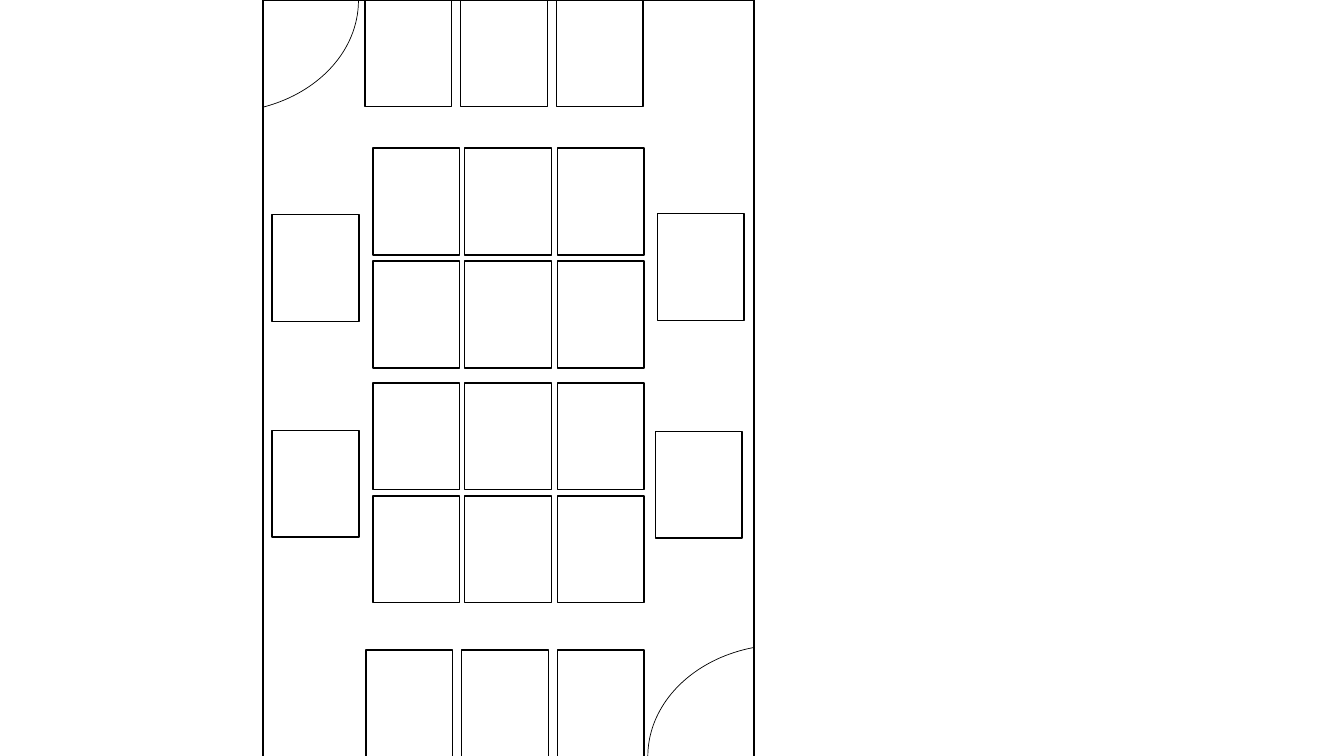
from itertools import product

from pptx import Presentation
from pptx import util as u
from pptx.dml.color import RGBColor
from pptx.enum import shapes

PX = u.Inches(1) // 100  # 100 px to the inch
COLORS = {"paper": "FFFFFF", "ink": "000000"}
CARD_W, CARD_H = 86, 106


def px(n):
    return u.Emu(n * PX)


def add_outline(parent, kind, left, top, width, height, weight=1, fill=None):
    sp = parent.add_shape(kind, px(left), px(top), px(width), px(height))
    sp.shadow.inherit = False
    sp.line.color.rgb = RGBColor.from_string(COLORS["ink"])
    sp.line.width = u.Pt(weight)
    if fill:
        sp.fill.solid()
        sp.fill.fore_color.rgb = RGBColor.from_string(COLORS[fill])
    else:
        sp.fill.background()
    return sp


def add_rect(parent, left, top, width=CARD_W, height=CARD_H):
    return add_outline(parent, shapes.MSO_SHAPE.RECTANGLE,
                       left, top, width, height, fill="paper")


def add_door(parent, left, top, rotation, end):
    sp = add_outline(parent, shapes.MSO_SHAPE.ARC, left, top, 222, 271, weight=0.5)
    sp.adjustments[1] = end
    sp.rotation = rotation


def add_row(parent, left, top):
    for i in range(3):
        add_rect(parent, left + 95 * i, top)


def add_block(parent, left, top):
    """Group of two rows of three cards; columns are 91.5 px apart."""
    group = parent.add_group_shape()
    for row, col in product(range(2), range(3)):
        add_rect(group.shapes, left + 183 * col // 2, top + 112 * row)


def main():
    prs = Presentation()
    prs.slide_width, prs.slide_height = u.Inches(13.33), u.Inches(7.5)
    parent = prs.slides.add_slide(prs.slide_layouts[6]).shapes

    # Room
    add_rect(parent, 261, 0, 487, 752)

    # Rows at both ends, each with a door beside it
    add_row(parent, 363, 645)
    add_door(parent, 667, 615, 270, 206.43)
    add_row(parent, 362, 0)
    add_door(parent, 109, -135, 90, 203.38)

    # Middle blocks
    for top in (147, 380):
        add_block(parent, 370, top)

    # Cards along the side walls
    for left, top in ((270, 213), (652, 212), (650, 428), (270, 427)):
        add_rect(parent, left, top)

    prs.save("out.pptx")


if __name__ == "__main__":
    main()
